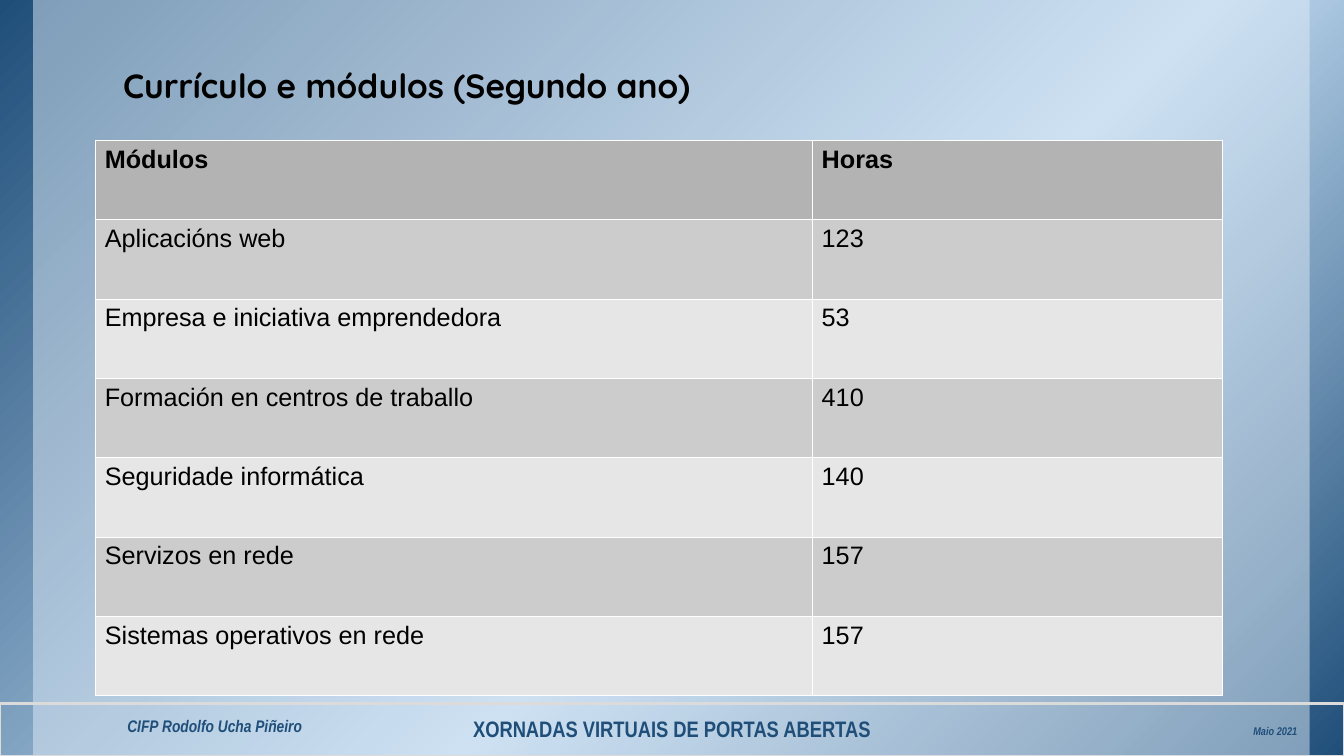
from copy import deepcopy

from lxml.etree import SubElement
from pptx import Presentation
from pptx.dml.color import RGBColor
from pptx.enum.shapes import MSO_SHAPE as Preset
from pptx.enum.text import MSO_ANCHOR as Anchor, PP_ALIGN as Align
from pptx.oxml.ns import qn
from pptx.util import Inches, Pt

# Content
TITLE = "Currículo e módulos (Segundo ano)"
ROWS = [
    ("Módulos", "Horas"),
    ("Aplicacións web", "123"),
    ("Empresa e iniciativa emprendedora", "53"),
    ("Formación en centros de traballo", "410"),
    ("Seguridade informática", "140"),
    ("Servizos en rede", "157"),
    ("Sistemas operativos en rede", "157"),
]
FOOTERS = [  # text, box, style
    ("XORNADAS VIRTUAIS DE PORTAS ABERTAS", (0.13, 7.05, 13.07, 0.38), "event"),
    ("Maio 2021", (12.18, 7.03, 0.94, 0.35), "date"),
    ("CIFP Rodolfo Ucha Piñeiro", (0.99, 7.02, 2.28, 0.35), "school"),
]

# Theme and geometry
THEME = {
    "gradient": [(0, "1F4E79"), (58, "BDD7EE"), (100, "1F4E79")],
    "panel": "DEEBF7", "frame": "DBDBDB", "border": "FFFFFF",
    "header": "B3B3B3", "bands": ("CCCCCC", "E6E6E6"),
    "title": dict(name="Quicksand", size=24, color="000000", bold=True),
    "head": dict(name="Arial", size=18, color="000000", bold=True),
    "cell": dict(name="Arial", size=18, color="000000", bold=False),
    "event": dict(name="Arial Narrow", size=16, color="1F4E79", bold=True),
    "date": dict(name="Arial Narrow", size=8, color="1F4E79", bold=True, italic=True),
    "school": dict(name="Arial Narrow", size=12, color="1F4E79", bold=True, italic=True),
}
SLIDE_SIZE = (13.33, 7.5)
TITLE_BOX = (1.22, 0.08, 11.11, 1.53)
TABLE_BOX = (0.94, 1.39, 11.18, 5.51)
COLUMN_WIDTHS = (7.11, 4.07)


def rgb(value):
    return RGBColor.from_string(value)


def inches(box):
    return [Inches(value) for value in box]


def write(frame, text, style, align=Align.LEFT, spacing=1.0):
    paragraph = frame.paragraphs[0]
    paragraph.alignment, paragraph.line_spacing = align, spacing
    run = paragraph.add_run()
    run.text = text
    for key, value in THEME[style].items():
        if key == "color":
            run.font.color.rgb = rgb(value)
        else:
            setattr(run.font, key, Pt(value) if key == "size" else value)


def set_frame(frame, anchor, horizontal, vertical):
    formats = dict(word_wrap=True, vertical_anchor=anchor,
                   margin_left=Inches(horizontal), margin_right=Inches(horizontal),
                   margin_top=Inches(vertical), margin_bottom=Inches(vertical))
    for key, value in formats.items():
        setattr(frame, key, value)


def add_rectangle(slide, box):
    shape = slide.shapes.add_shape(Preset.RECTANGLE, *inches(box))
    shape.shadow.inherit = False
    shape.line.fill.background()
    return shape


def add_background(slide):
    backdrop = add_rectangle(slide, (0, 0, *SLIDE_SIZE))
    backdrop.fill.gradient()
    backdrop.fill.gradient_angle = 315
    stop_list = backdrop._element.spPr.find(".//" + qn("a:gsLst"))
    stop_list.insert(1, deepcopy(stop_list[0]))
    for stop, (position, color) in zip(backdrop.fill.gradient_stops, THEME["gradient"]):
        stop.position = position / 100
        stop.color.rgb = rgb(color)

    panel = add_rectangle(slide, (0.33, 0, 12.66, SLIDE_SIZE[1]))
    panel.fill.solid()
    panel.fill.fore_color.rgb = rgb(THEME["panel"])
    color = panel._element.spPr.find(qn("a:solidFill"))[0]
    SubElement(color, qn("a:alpha"), val="50000")


def add_footer(slide):
    frame = add_rectangle(slide, (0, 6.98, SLIDE_SIZE[0], 0.52))
    frame.fill.background()
    frame.line.color.rgb = rgb(THEME["frame"])
    frame.line.width = Pt(2)
    for text, box, style in FOOTERS:
        text_box = slide.shapes.add_textbox(*inches(box))
        set_frame(text_box.text_frame, Anchor.BOTTOM, 0.13, 0.07)
        write(text_box.text_frame, text, style, Align.CENTER, 0.85)


def add_title(slide):
    title = slide.shapes.title
    title.left, title.top, title.width, title.height = inches(TITLE_BOX)
    set_frame(title.text_frame, Anchor.MIDDLE, 0, 0)
    write(title.text_frame, TITLE, "title")
    # Bring the title in front of the background
    title._element.getparent().append(title._element)


def set_borders(cell):
    properties = cell._tc.get_or_add_tcPr()
    for index, side in enumerate(("a:lnL", "a:lnR", "a:lnT", "a:lnB")):
        line = properties.makeelement(qn(side), {"w": str(Pt(0.06))})
        fill = SubElement(line, qn("a:solidFill"))
        SubElement(fill, qn("a:srgbClr"), val=THEME["border"])
        properties.insert(index, line)


def add_modules_table(slide):
    table = slide.shapes.add_table(len(ROWS), len(COLUMN_WIDTHS), *inches(TABLE_BOX)).table
    for column, width in zip(table.columns, COLUMN_WIDTHS):
        column.width = Inches(width)
    for row_index, row in enumerate(ROWS):
        is_header = row_index == 0
        color = THEME["header"] if is_header else THEME["bands"][(row_index - 1) % 2]
        for column_index, text in enumerate(row):
            cell = table.cell(row_index, column_index)
            cell.fill.solid()
            cell.fill.fore_color.rgb = rgb(color)
            write(cell.text_frame, text, "head" if is_header else "cell")
            set_borders(cell)


def main():
    presentation = Presentation()
    presentation.slide_width, presentation.slide_height = inches(SLIDE_SIZE)
    slide = presentation.slides.add_slide(presentation.slide_layouts[5])
    add_background(slide)
    add_footer(slide)
    add_title(slide)
    add_modules_table(slide)
    presentation.save("out.pptx")


if __name__ == "__main__":
    main()
